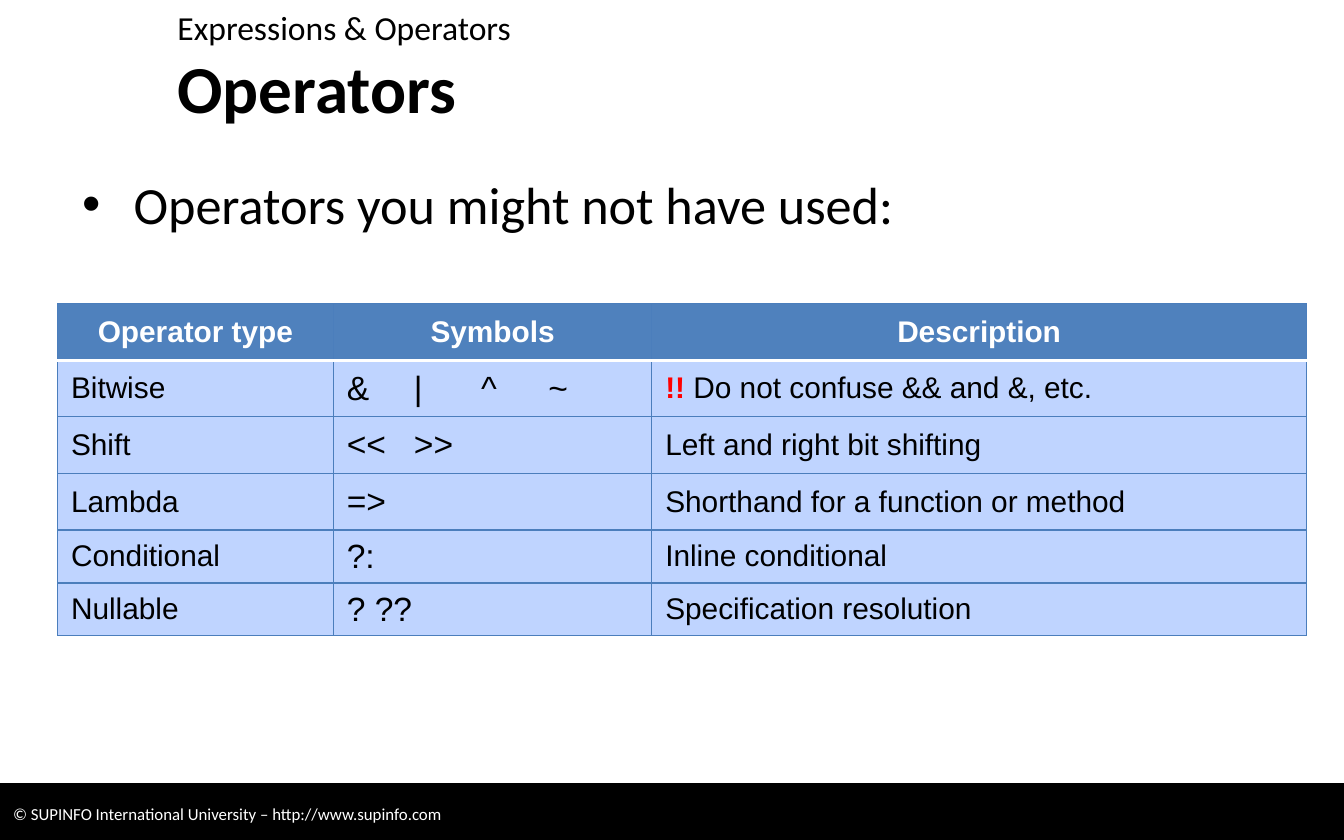
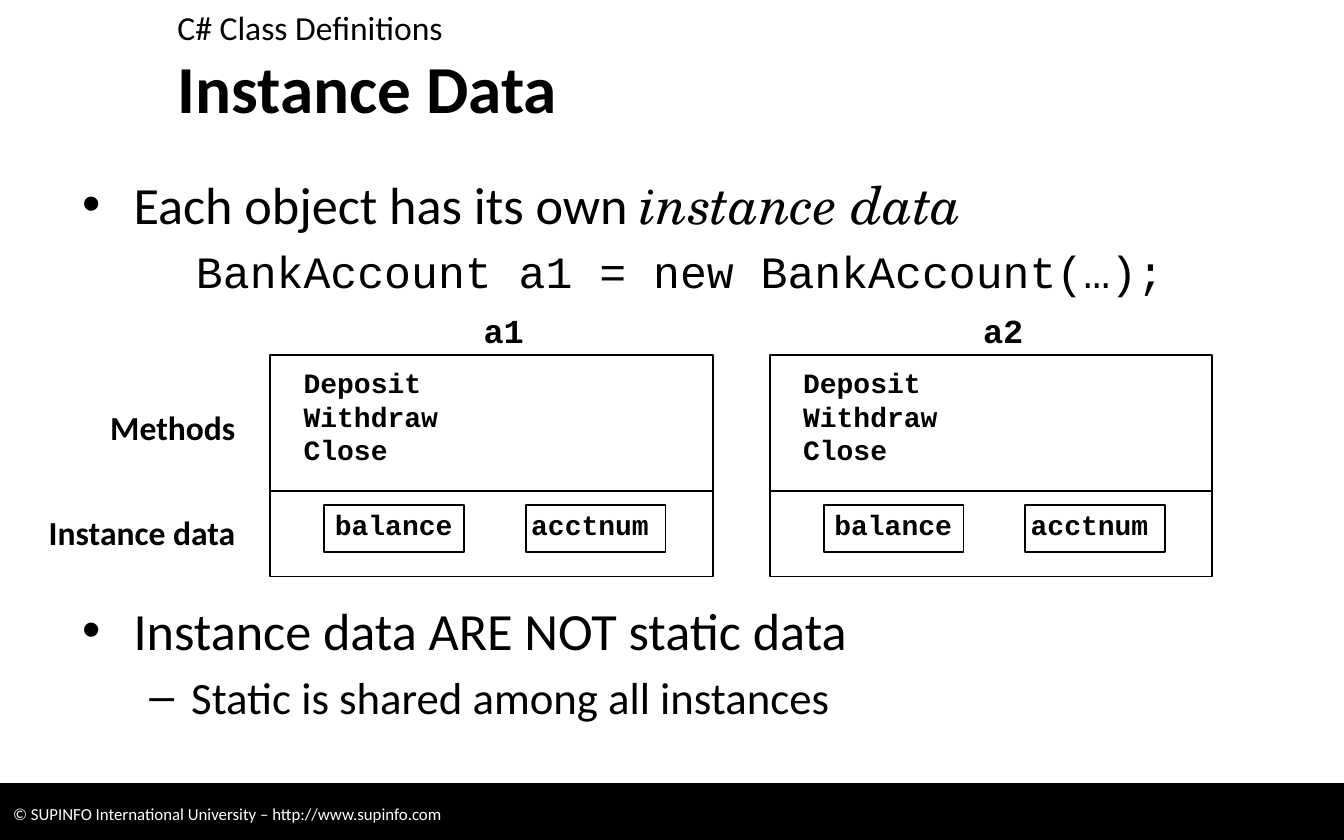
from lxml.etree import SubElement
from pptx import Presentation
from pptx.dml.color import RGBColor
from pptx.enum.shapes import MSO_SHAPE
from pptx.enum.text import MSO_ANCHOR, MSO_AUTO_SIZE, PP_ALIGN
from pptx.oxml.ns import qn
from pptx.util import Cm, Pt

BLACK, WHITE, RED = "000000", "FFFFFF", "FF0000"
HEAD, CELL, EDGE = "4F81BD", "BFD4FF", "4B7EBC"
SANS, TABLE, CODE, SERIF = "Calibri", "Arial", "Courier New", "TeX Gyre Schola"
CREDIT = "© SUPINFO International University – http://www.supinfo.com"

# Operator type, symbols, tab stops of the symbols (cm), description
ROWS = [
    ("Bitwise", "&\t|\t^\t~", (0.77, 1.29, 1.95), "!! Do not confuse && and &, etc."),
    ("Shift", "<<\t>>", (1.1,), "Left and right bit shifting"),
    ("Lambda", "=>", (), "Shorthand for a function or method"),
    ("Conditional", "?:", (), "Inline conditional"),
    ("Nullable", "? ??", (), "Specification resolution"),
]


def color(code):
    return RGBColor.from_string(code)


def place(shape, left, top, width, height):
    shape.left, shape.top = Cm(left), Cm(top)
    shape.width, shape.height = Cm(width), Cm(height)


def write(frame, text, size, face=SANS, ink=BLACK, bold=False,
          align=PP_ALIGN.LEFT, gap=0, mark=None, indent=(0, 0), level=0, tabs=()):
    """Add one paragraph; indent is (margin, first line) in cm."""
    para = frame.paragraphs[0]
    if para.runs:
        para = frame.add_paragraph()
    para.level = level
    para.alignment = align
    para.space_before = Pt(gap)
    props = para._p.get_or_add_pPr()
    margin, first = indent
    props.set("marL", str(Cm(margin)))
    props.set("indent", str(Cm(first)))
    if mark:
        SubElement(props, qn("a:buChar"), char=mark)
    else:
        SubElement(props, qn("a:buNone"))
    if tabs:
        stops = SubElement(props, qn("a:tabLst"))
        for stop in tabs:
            SubElement(stops, qn("a:tab"), pos=str(Cm(stop)), algn="l")
    para.font.size, para.font.name = Pt(size), face
    para.font.bold = bold
    para.font.color.rgb = color(ink)
    para.add_run().text = text
    return para


def point(frame, text, gap=0):
    return write(frame, text, 28, gap=gap, mark="•", indent=(0.97, -0.97))


def label(slide, box, lines, size, face=SANS, align=PP_ALIGN.LEFT, wrap=True):
    shape = slide.shapes.add_textbox(*map(Cm, box))
    shape.text_frame.word_wrap = wrap
    for line in lines:
        write(shape.text_frame, line, size, face, bold=True, align=align)


def rect(slide, box, fill=None, weight=1):
    shape = slide.shapes.add_shape(MSO_SHAPE.RECTANGLE, *map(Cm, box))
    shape.shadow.inherit = False
    if fill:
        shape.fill.solid()
        shape.fill.fore_color.rgb = color(fill)
    else:
        shape.fill.background()
    shape.line.color.rgb = color(BLACK)
    shape.line.width = Pt(weight)
    return shape


def start(deck, topic, title):
    """Add a slide with footer band, topic and title; return it and its body frame."""
    slide = deck.slides.add_slide(deck.slide_layouts.get_by_name("Two Content"))
    band = rect(slide, (0, 14.81, 25.4, 1.14), BLACK, 0.75).text_frame
    band.vertical_anchor = MSO_ANCHOR.MIDDLE
    write(band, CREDIT, 9, ink=WHITE)

    head, body, over = slide.placeholders
    place(head, 3.1, 0.94, 21.6, 1.4)
    place(over, 3.1, 0, 21.6, 0.94)
    place(body, 1.3, 3.12, 23.1, 11.76)
    for part in (head, body, over):
        part.text_frame.auto_size = MSO_AUTO_SIZE.NONE
    head.text_frame.vertical_anchor = MSO_ANCHOR.MIDDLE
    write(head.text_frame, title, 36, bold=True)
    write(over.text_frame, topic, 18)
    return slide, body.text_frame


def border(cell, side, ink=EDGE, weight=0.75):
    line = SubElement(cell._tc.get_or_add_tcPr(), qn("a:" + side), w=str(Pt(weight)))
    fill = SubElement(line, qn("a:solidFill"))
    SubElement(fill, qn("a:srgbClr"), val=ink)


def style(cell, row):
    """Set borders and fill; a white rule parts the header from the rows."""
    border(cell, "lnL")
    border(cell, "lnR")
    border(cell, "lnT", *((WHITE, 2) if row == 1 else ()))
    border(cell, "lnB", *((WHITE, 2) if row == 0 else ()))
    cell.fill.solid()
    cell.fill.fore_color.rgb = color(CELL if row else HEAD)
    cell.vertical_anchor = MSO_ANCHOR.MIDDLE


def grid(slide, left, top):
    widths, heights = (5.21, 6.02, 12.37), (1.07,) * 4 + (1,) * 2
    frame = slide.shapes.add_table(len(heights), len(widths), Cm(left), Cm(top),
                                   Cm(sum(widths)), Cm(sum(heights)))
    table = frame.table
    table.horz_banding = False
    for column, width in zip(table.columns, widths):
        column.width = Cm(width)
    for row, height in zip(table.rows, heights):
        row.height = Cm(height)

    for col, name in enumerate(("Operator type", "Symbols", "Description")):
        cell = table.cell(0, col)
        style(cell, 0)
        write(cell.text_frame, name, 16, TABLE, WHITE, True, PP_ALIGN.CENTER)
    for row, (kind, signs, tabs, note) in enumerate(ROWS, 1):
        cells = [table.cell(row, col) for col in range(len(widths))]
        for cell in cells:
            style(cell, row)
        write(cells[0].text_frame, kind, 16, TABLE)
        write(cells[1].text_frame, signs, 18, TABLE, tabs=tabs)
        alert, found, rest = note.partition("!!")
        para = write(cells[2].text_frame, found or alert, 16, TABLE)
        if found:
            font = para.runs[0].font
            font.bold, font.color.rgb = True, color(RED)
            para.add_run().text = rest


def account(slide, name, left, top):
    """Draw one object: its name, its methods and its fields."""
    def at(x, y, width, height):
        return left + x, top + y, width, height

    rect(slide, at(0, 0.97, 8.36, 2.57))
    rect(slide, at(0, 3.54, 8.36, 1.62))
    label(slide, at(3.78, 0, 1.27, 1.02), [name], 18, CODE, wrap=False)
    label(slide, at(0.38, 1.05, 3.81, 2.16), ["Deposit", "Withdraw", "Close"], 15, CODE)
    for field, x, inset in (("balance", 1.02, 0.05), ("acctnum", 4.83, 0.15)):
        rect(slide, at(x, 3.81, 2.64, 0.89))
        label(slide, at(x - inset, 3.73, 3, 0.89), [field], 15, CODE)


def operators(deck):
    slide, body = start(deck, "Expressions & Operators", "Operators")
    point(body, "Operators you might not have used:")
    grid(slide, 1.09, 5.74)


def instance(deck):
    slide, body = start(deck, "C# Class Definitions", "Instance Data")
    term = point(body, "Each object has its own ").add_run()
    term.text = "instance data"
    term.font.name, term.font.italic = SERIF, True
    write(body, "BankAccount a1 = new BankAccount(…);", 24, CODE,
          align=PP_ALIGN.CENTER, gap=5)
    point(body, "Instance data ARE NOT static data", gap=161)
    write(body, "Static is shared among all instances", 24, gap=4.8,
          mark="–", indent=(2.06, -0.79), level=1)

    for name, left in (("a1", 5.11), ("a2", 14.55)):
        account(slide, name, left, 5.74)
    for text, top in (("Methods", 7.57), ("Instance data", 9.55)):
        label(slide, (0.5, top, 4.2, 1.02), [text], 18, align=PP_ALIGN.RIGHT)


def main():
    deck = Presentation()
    deck.slide_width, deck.slide_height = Cm(25.4), Cm(15.88)
    operators(deck)
    instance(deck)
    deck.save("out.pptx")


if __name__ == "__main__":
    main()
